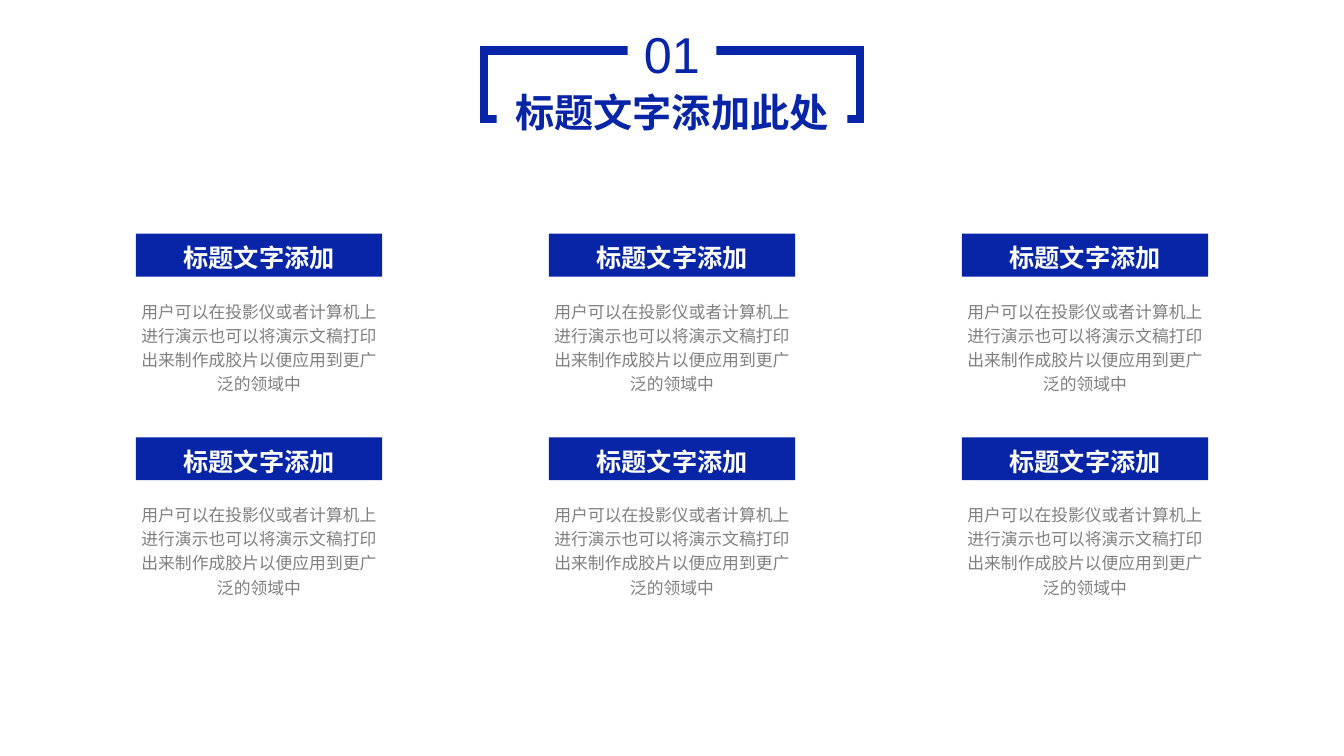
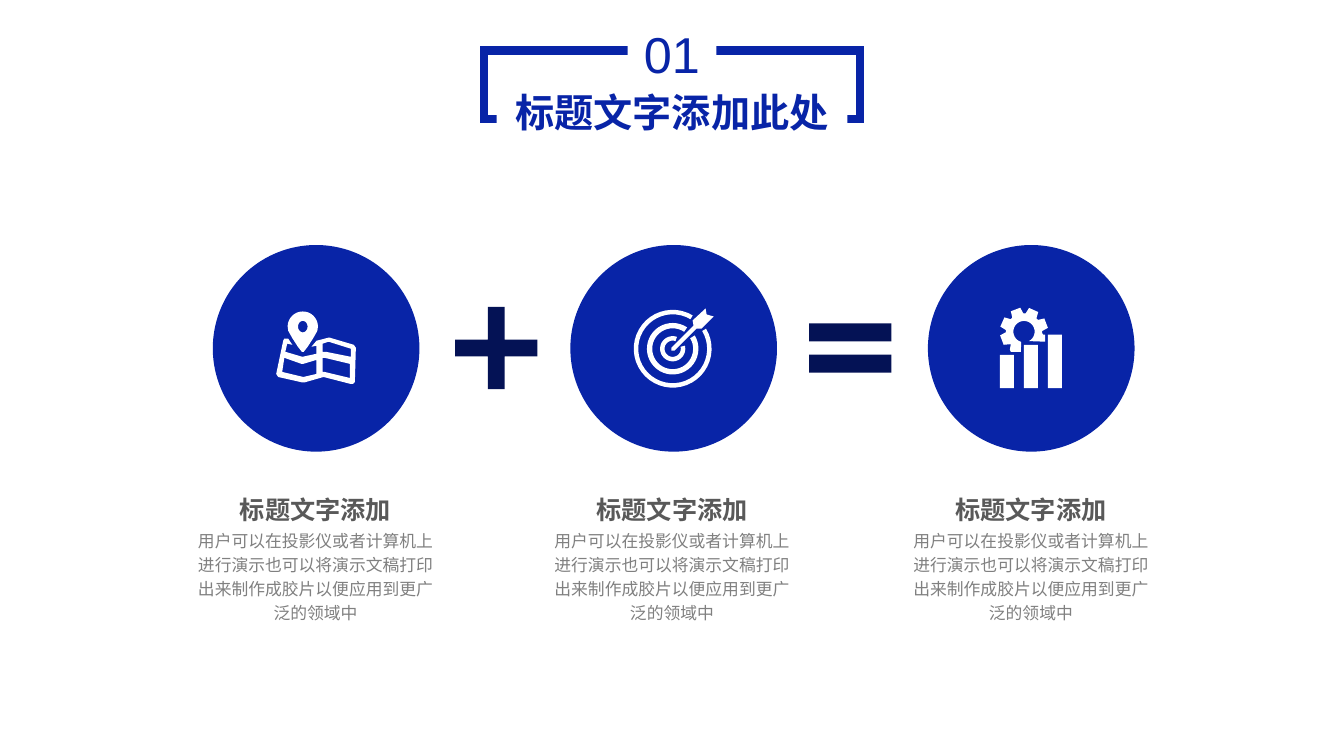
from math import cos, radians, sin

from lxml.etree import SubElement
from pptx import Presentation
from pptx.dml.color import RGBColor
from pptx.enum.lang import MSO_LANGUAGE_ID
from pptx.enum.shapes import MSO_SHAPE
from pptx.enum.text import MSO_ANCHOR, MSO_AUTO_SIZE, PP_ALIGN
from pptx.oxml.ns import qn
from pptx.util import Pt

COLORS = {"blue": "0824A7", "navy": "041255", "white": "FFFFFF",
          "heading": "595959", "body": "808080"}
CJK_FONT = "Noto Sans CJK SC"
FORMATS = {
    "number": {"name": "Arial", "size": Pt(36), "color": "blue", "bold": False},
    "title": {"name": "Arial", "size": Pt(28), "color": "blue", "bold": True},
    "badge": {"name": CJK_FONT, "size": Pt(18), "color": "white", "bold": True},
    "heading": {"name": CJK_FONT, "size": Pt(18), "color": "heading", "bold": True},
    "body": {"name": CJK_FONT, "size": Pt(12), "color": "body", "bold": False},
}
SLIDE_WIDTH, SLIDE_HEIGHT = 960, 540
CENTER = SLIDE_WIDTH / 2
PAGE_TITLE = "标题文字添加此处"
ITEM_TITLE = "标题文字添加"
ITEM_TEXT = "用户可以在投影仪或者计算机上进行演示也可以将演示文稿打印出来制作成胶片以便应用到更广泛的领域中"


def rgb(color):
    return RGBColor.from_string(COLORS[color])


def paint(shape, color):
    shape.shadow.inherit = False
    shape.fill.solid()
    shape.fill.fore_color.rgb = rgb(color)
    shape.line.fill.background()


def add_filled(shapes, kind, box, color):
    shape = shapes.add_shape(kind, *map(Pt, box))
    paint(shape, color)
    return shape


def write(shape, text, style, line_spacing=1.0):
    frame = shape.text_frame
    frame.word_wrap = True
    frame.auto_size = MSO_AUTO_SIZE.SHAPE_TO_FIT_TEXT
    frame.vertical_anchor = MSO_ANCHOR.TOP
    paragraph = frame.paragraphs[0]
    paragraph.alignment = PP_ALIGN.CENTER
    paragraph.line_spacing = line_spacing
    run = paragraph.add_run()
    run.text = text
    run.font.language_id = MSO_LANGUAGE_ID.SIMPLIFIED_CHINESE
    for key, value in FORMATS[style].items():
        if key == "color":
            run.font.color.rgb = rgb(value)
        else:
            setattr(run.font, key, value)
    east_asian = SubElement(run.font._element, qn("a:ea"))
    east_asian.set("typeface", FORMATS[style]["name"])


def add_header(slide, number, title):
    """Draw the open frame; the white text boxes cut its top and bottom edges."""
    frame = slide.shapes.add_shape(MSO_SHAPE.RECTANGLE, *map(Pt, (CENTER - 134.4, 36, 268.8, 49)))
    frame.shadow.inherit = False
    frame.fill.background()
    frame.line.color.rgb = rgb("blue")
    frame.line.width = Pt(6)
    SubElement(frame.line._ln, qn("a:miter")).set("lim", "800000")
    for text, style, top, width, height in ((number, "number", 13, 63.4, 51),
                                            (title, "title", 59.8, 250.6, 41)):
        box = (CENTER - width / 2, top, width, height)
        write(add_filled(slide.shapes, MSO_SHAPE.RECTANGLE, box, "white"), text, style)


def add_item_text(slide, center, top, title_style, body_gap):
    group = slide.shapes.add_group_shape()
    for text, style, offset, width, height in (
            (ITEM_TEXT, "body", body_gap, 193, 75.6),
            (ITEM_TITLE, title_style, 0, 176.4, 31)):
        box = (center - width / 2, top + offset, width, height)
        write(group.shapes.add_textbox(*map(Pt, box)), text, style, 1.2)


def polar(center, radius, angle):
    return (center[0] + radius * cos(radians(angle)),
            center[1] + radius * sin(radians(angle)))


def arc(center, radius, start, end, steps=40):
    return [polar(center, radius, start + (end - start) * step / steps)
            for step in range(steps + 1)]


def add_icon(slide, left, top, contours):
    """Draw one white outline; contours inside others become holes."""
    first, *others = [[(Pt(x), Pt(y)) for x, y in contour] for contour in contours]
    builder = slide.shapes.build_freeform(*first[0])
    builder.add_line_segments(first[1:], close=True)
    for contour in others:
        builder.move_to(*contour[0])
        builder.add_line_segments(contour[1:], close=True)
    paint(builder.convert_to_shape(Pt(left), Pt(top)), "white")


def map_contours():
    sheet = [(37.4, 18.7), (38.2, 18.7), (55.4, 23.8), (56.9, 25.9), (56.2, 50.4),
             (54.7, 51.8), (53.3, 51.8), (33.8, 46.8), (20.2, 50.7), (18.7, 50.7),
             (1.4, 46.8), (0, 44.6), (5, 20.9), (5.8, 19.4), (8.6, 19.4), (11.5, 23.8),
             (7.9, 23), (6.5, 28.8), (18.7, 32.4), (28.8, 30.2), (28.8, 24.5),
             (25.2, 25.2), (28.8, 20.9)]
    lower_left = [(5.8, 33.1), (4.3, 43.2), (19.4, 46.8), (28.8, 44.6),
                  (28.8, 34.6), (19.4, 37.4), (18, 37.4)]
    lower_right = [(33.1, 33.1), (34.6, 33.1), (52.6, 37.4), (52.6, 47.5),
                   (34.6, 43.2), (33.1, 43.2)]
    upper_right = [(37.4, 21.6), (33.1, 23), (33.1, 28.8), (35.3, 28.8),
                   (53.3, 32.4), (53.3, 26.6)]
    middle = (19, 10.8)
    side = [(10.4, 13.8), (7.5, 19), (3.5, 25.2), (0.7, 28.8)]
    pin = (arc(middle, 10.8, 180, 360) + [(middle[0] + x, y) for x, y in side]
           + [(middle[0] - x, y) for x, y in reversed(side)])
    hole = [(x, middle[1] + (y - middle[1]) * 1.2) for x, y in arc(middle, 3.4, 0, 360)]
    return [sheet, lower_left, lower_right, upper_right, pin, hole]


def target_contours():
    middle = (27.6, 28.8)
    rings = [arc(middle, outer, start, end) + arc(middle, inner, end, start)
             for outer, inner, start, end in ((27.8, 24.6, -31, 301),
                                              (18.4, 14.6, -31, 304),
                                              (9, 5.8, -14, 290))]
    arrow = [(51.1, 0), (51.8, 4.3), (56.9, 5.8), (48.2, 14.4), (44.6, 14.4),
             (28.8, 30.2), (26.6, 30.2), (26.6, 28.1), (42.5, 12.2), (41.8, 8.6)]
    return rings + [arrow]


def gear_chart_contours():
    bars = [[(x, top), (x + 10, top), (x + 10, 56.9), (x, 56.9)]
            for x, top in ((0, 33.3), (17.2, 26), (34.4, 18.7))]
    middle = (17.3, 16.6)
    gear = [polar(middle, 13, 136.5)]
    for tooth in range(159, 340, 45):
        gear += [polar(middle, radius, tooth + turn)
                 for radius, turn in ((17.3, -12), (17.3, 12), (13, 19), (13, 26))]
    gear += [(31, 18.7), (32.4, 18.7), (32.4, 23.8)]
    gear += arc(middle, 7.6, 63, -254)
    gear += [(15.1, 31), (7.9, 31), (7.2, 29.5)]
    return bars + [gear]


def add_grid_slide(presentation):
    slide = presentation.slides.add_slide(presentation.slide_layouts[6])
    add_header(slide, "01", PAGE_TITLE)
    cells = [(CENTER + 295 * column, 167 + 145.4 * row)
             for row in range(2) for column in (-1, 0, 1)]
    for center, top in cells:
        add_filled(slide.shapes, MSO_SHAPE.RECTANGLE, (center - 88, top, 176, 30.6), "blue")
    for center, top in cells:
        add_item_text(slide, center, top - 1.4, "badge", 43.2)


def add_equation_slide(presentation):
    slide = presentation.slides.add_slide(presentation.slide_layouts[6])
    add_header(slide, "01", PAGE_TITLE)
    diameter, top, step = 147.6, 175, 255.4
    lefts = [152 + step * index for index in range(3)]
    for left in lefts:
        add_filled(slide.shapes, MSO_SHAPE.OVAL, (left, top, diameter, diameter), "blue")
    for kind, left, adjustments in ((MSO_SHAPE.MATH_PLUS, 314.6, (0.15,)),
                                    (MSO_SHAPE.MATH_EQUAL, 567.4, (0.16, 0.12))):
        sign = add_filled(slide.shapes, kind, (left, 208.6, 80, 80), "navy")
        for index, value in enumerate(adjustments):
            sign.adjustments[index] = value
    icons = ((45.3, 47.5, map_contours()), (45.5, 45.3, target_contours()),
             (51.4, 45.3, gear_chart_contours()))
    for left, (x, y, contours) in zip(lefts, icons):
        add_icon(slide, left + x, top + y, contours)
    for center in (225.4, CENTER, 736.4):
        add_item_text(slide, center, 345, "heading", 27.4)


def main():
    presentation = Presentation()
    presentation.slide_width = Pt(SLIDE_WIDTH)
    presentation.slide_height = Pt(SLIDE_HEIGHT)
    add_grid_slide(presentation)
    add_equation_slide(presentation)
    presentation.save("out.pptx")


if __name__ == "__main__":
    main()
